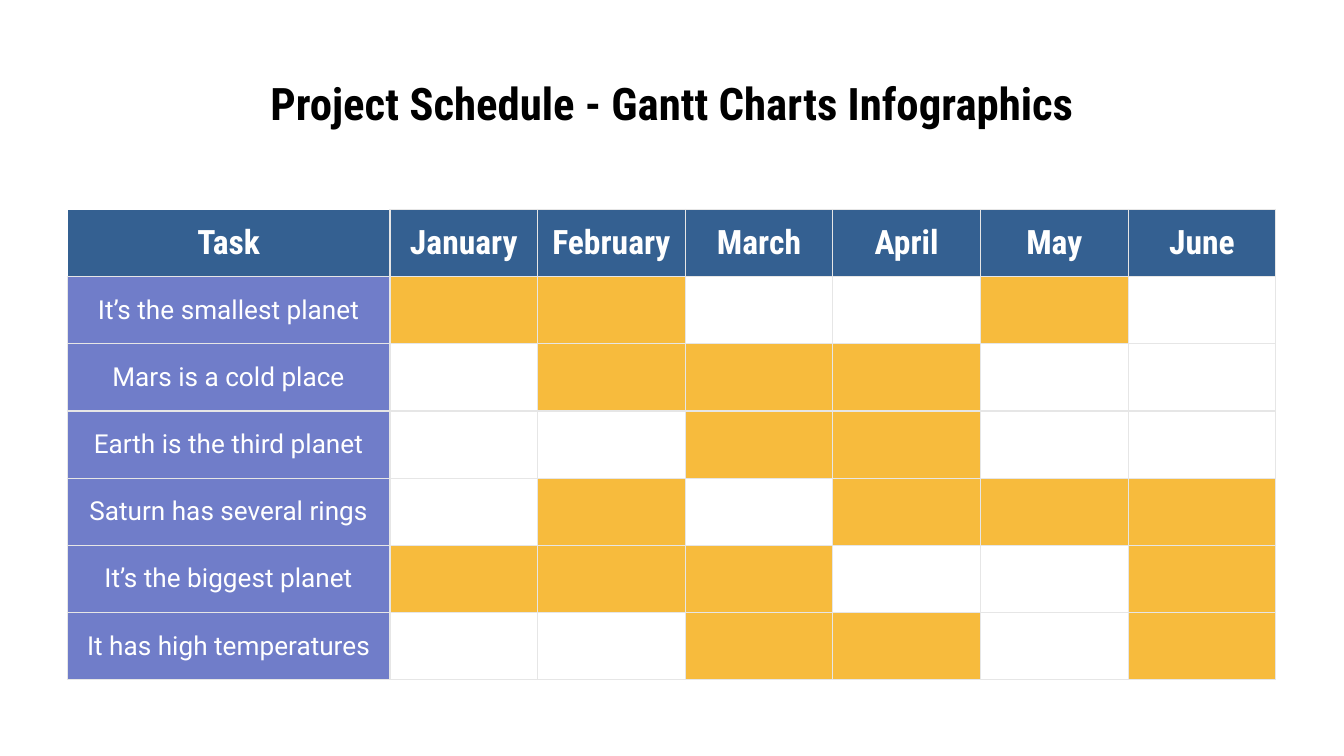
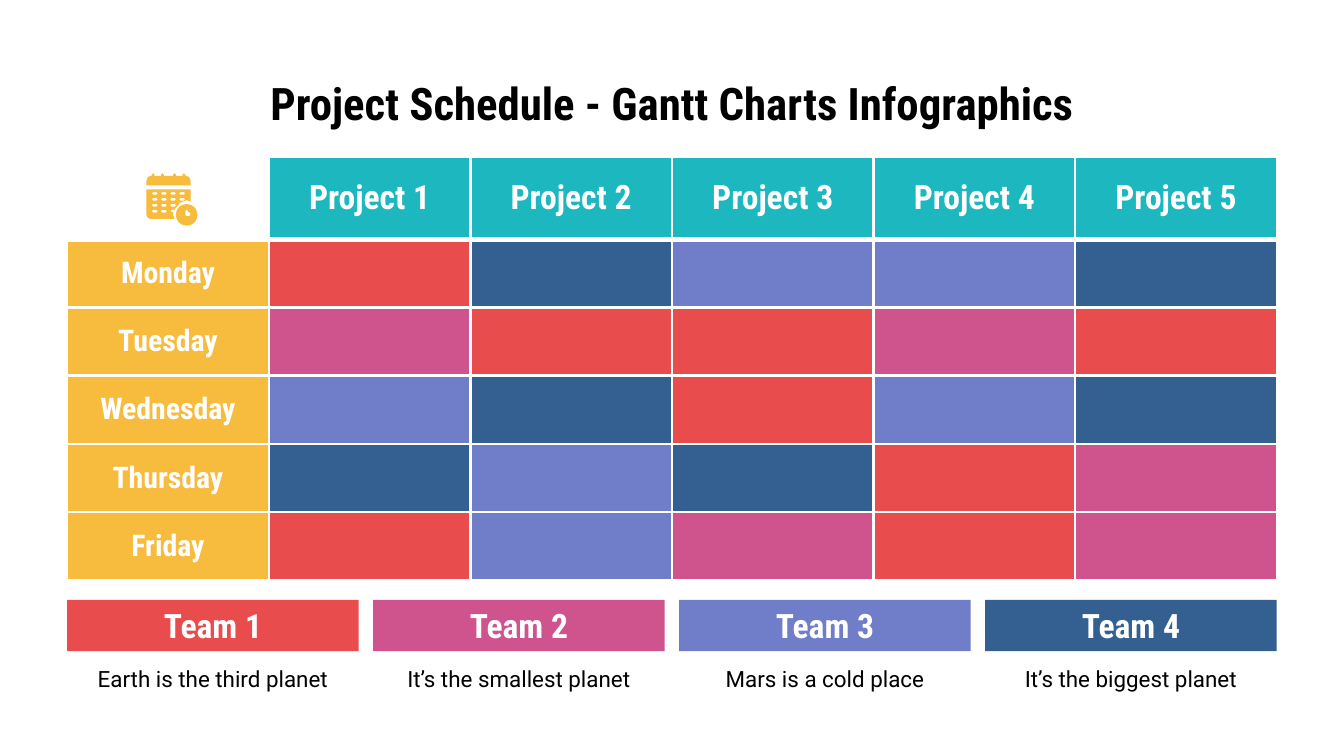
import math

import lxml.etree
import pptx
import pptx.dml.color
import pptx.enum.shapes
import pptx.enum.text
import pptx.oxml.ns
import pptx.util

Cm = pptx.util.Cm
Pt = pptx.util.Pt
RGB = pptx.dml.color.RGBColor.from_string
ANCHOR = pptx.enum.text.MSO_ANCHOR
RECT = pptx.enum.shapes.MSO_SHAPE.RECTANGLE
qn = pptx.oxml.ns.qn


class Theme:
    black, white, grid = "000000", "FFFFFF", "E6E6E6"
    blue, purple, yellow = "346091", "707DC9", "F7BB3D"
    red, pink, teal = "E94C4C", "CF548E", "1DB7C0"
    title = {"name": "Roboto Condensed", "size": Pt(24), "bold": True}
    heading = {"name": "Roboto Condensed", "size": Pt(18), "bold": True}
    day = {"name": "Roboto Condensed", "size": Pt(16), "bold": True}
    task = {"name": "Roboto", "size": Pt(14), "bold": False}
    caption = {"name": "Roboto", "size": Pt(12), "bold": False}
    margin, width, inset = 1.27, 22.86, 0.25


def write(tf, text, style, color, anchor=ANCHOR.MIDDLE):
    frame = {"word_wrap": True, "vertical_anchor": anchor}
    frame.update({f"margin_{side}": Cm(Theme.inset) for side in ("left", "top", "right", "bottom")})
    for key, value in frame.items():
        setattr(tf, key, value)
    p = tf.paragraphs[0]
    p.alignment = pptx.enum.text.PP_ALIGN.CENTER
    r = p.add_run()
    r.text = text
    for key, value in style.items():
        setattr(r.font, key, value)
    r.font.color.rgb = RGB(color)


def add_grid(s, top, widths, heights, cells, border):
    frame = s.shapes.add_table(len(heights), len(widths), Cm(Theme.margin), Cm(top),
                               Cm(sum(widths)), Cm(sum(heights)))
    table = frame.table
    table.first_row = table.horz_banding = False
    for column, width in zip(table.columns, widths):
        column.width = Cm(width)
    for row, height in zip(table.rows, heights):
        row.height = Cm(height)
    for i, row in enumerate(cells):
        for j, (text, style, fill) in enumerate(row):
            cell = table.cell(i, j)
            tcPr = cell._tc.get_or_add_tcPr()
            for side in "LRTB":
                color, points = border(i, j, side)
                ln = lxml.etree.SubElement(tcPr, qn(f"a:ln{side}"), w=str(Pt(points)))
                solid = lxml.etree.SubElement(ln, qn("a:solidFill"))
                lxml.etree.SubElement(solid, qn("a:srgbClr"), val=color)
            if fill:
                cell.fill.solid()
                cell.fill.fore_color.rgb = RGB(fill)
            else:
                cell.fill.background()
            if text:
                write(cell.text_frame, text, style, Theme.white)
                cell.vertical_anchor = ANCHOR.MIDDLE
                for side in ("left", "top", "right", "bottom"):
                    setattr(cell, f"margin_{side}", Cm(Theme.inset))


prs = pptx.Presentation()
prs.slide_width, prs.slide_height = Cm(25.4), Cm(14.29)

slides = [prs.slides.add_slide(prs.slide_layouts[6]) for _ in range(2)]
for s in slides:
    s.background.fill.solid()
    s.background.fill.fore_color.rgb = RGB(Theme.white)
    sp = s.shapes.add_textbox(Cm(Theme.margin), Cm(1.14), Cm(Theme.width), Cm(1.6))
    write(sp.text_frame, "Project Schedule - Gantt Charts Infographics", Theme.title, Theme.black)
months_slide, week_slide = slides

months = ["January", "February", "March", "April", "May", "June"]
tasks = {
    "It’s the smallest planet": "110010",
    "Mars is a cold place": "011100",
    "Earth is the third planet": "001100",
    "Saturn has several rings": "010111",
    "It’s the biggest planet": "111001",
    "It has high temperatures": "001101",
}
cells = [[(text, Theme.heading, Theme.blue) for text in ["Task"] + months]]
for task, active in tasks.items():
    bars = [("", None, Theme.yellow if mark == "1" else None) for mark in active]
    cells.append([(task, Theme.task, Theme.purple)] + bars)
add_grid(months_slide, 3.96, [6.1] + [2.79] * 6, [1.27] * 7, cells,
         lambda i, j, side: (Theme.white if i == j == 0 and side in "LT" else Theme.grid, 0.75))

teams = [
    (Theme.red, "Earth is the third planet"),
    (Theme.pink, "It’s the smallest planet"),
    (Theme.purple, "Mars is a cold place"),
    (Theme.blue, "It’s the biggest planet"),
]
days = {"Monday": "14334", "Tuesday": "21121", "Wednesday": "34134",
        "Thursday": "43412", "Friday": "13212"}
cells = [[("", None, None)] + [(f"Project {n}", Theme.heading, Theme.teal) for n in range(1, 6)]]
for day, plan in days.items():
    bars = [("", None, teams[int(n) - 1][0]) for n in plan]
    cells.append([(day, Theme.day, Theme.yellow)] + bars)
add_grid(week_slide, 2.97, [3.81] * 6, [1.55] + [1.29] * 5, cells,
         lambda i, j, side: (Theme.white, 3 if (i, side) in ((0, "B"), (1, "T")) else 1.5))

card = 5.51
pitch = (Theme.width - card) / (len(teams) - 1)
for n, (color, caption) in enumerate(teams):
    left = Cm(Theme.margin + n * pitch)
    band = week_slide.shapes.add_shape(RECT, left, Cm(11.34), Cm(card), Cm(0.97))
    band.shadow.inherit = False
    band.fill.solid()
    band.fill.fore_color.rgb = RGB(color)
    band.line.fill.background()
    write(band.text_frame, f"Team {n + 1}", Theme.heading, Theme.white)
    sp = week_slide.shapes.add_textbox(left, Cm(12.32), Cm(card), Cm(0.84))
    write(sp.text_frame, caption, Theme.caption, Theme.black, ANCHOR.TOP)
    week_slide.shapes.add_group_shape([band, sp])

clock = [(139 + 8 * math.cos(a * math.pi / 16), 160 + 8 * math.sin(a * math.pi / 16))
         for a in range(32)]
hands = [(138, 157), (139, 156), (140, 157), (140, 158), (141, 158),
         (142, 159.5), (141, 161), (139, 161), (138, 160)]
page = [(109, 141), (109, 160), (110, 162), (112, 163), (130, 163), (129, 160), (129, 158),
        (128, 158), (127, 157), (128, 156), (130, 156), (134, 151), (139, 149),
        (142, 150), (142, 141)]
dates = []
for row, count in enumerate([4, 4, 3, 2]):
    for column in range(count):
        x, y = 113 + 6.8 * column, 143 + 4.4 * row
        dates.append([(x, y + 1), (x + 1, y), (x + 3.5, y),
                      (x + 4.5, y + 1), (x + 3.5, y + 2), (x + 1, y + 2)])
header = [(109, 138), (109, 135), (110, 132), (112, 131)]
for x in (113, 120, 129, 136):
    header += [(x, 131), (x, 130), (x + 1, 129), (x + 2, 130), (x + 2, 131)]
header += [(139, 131), (141, 132), (142, 135), (142, 138)]

icon = []
for outlines in ([clock, hands], [page] + dates, [header]):
    outlines = [[(x * 10, y * 10) for x, y in outline] for outline in outlines]
    builder = week_slide.shapes.build_freeform(*outlines[0][0], scale=Cm(0.00254))
    builder.add_line_segments(outlines[0][1:])
    for outline in outlines[1:]:
        builder.move_to(*outline[0])
        builder.add_line_segments(outline[1:])
    sp = builder.convert_to_shape()
    sp.shadow.inherit = False
    sp.fill.solid()
    sp.fill.fore_color.rgb = RGB(Theme.yellow)
    sp.line.fill.background()
    icon.append(sp)
week_slide.shapes.add_group_shape(icon)

prs.save("out.pptx")
